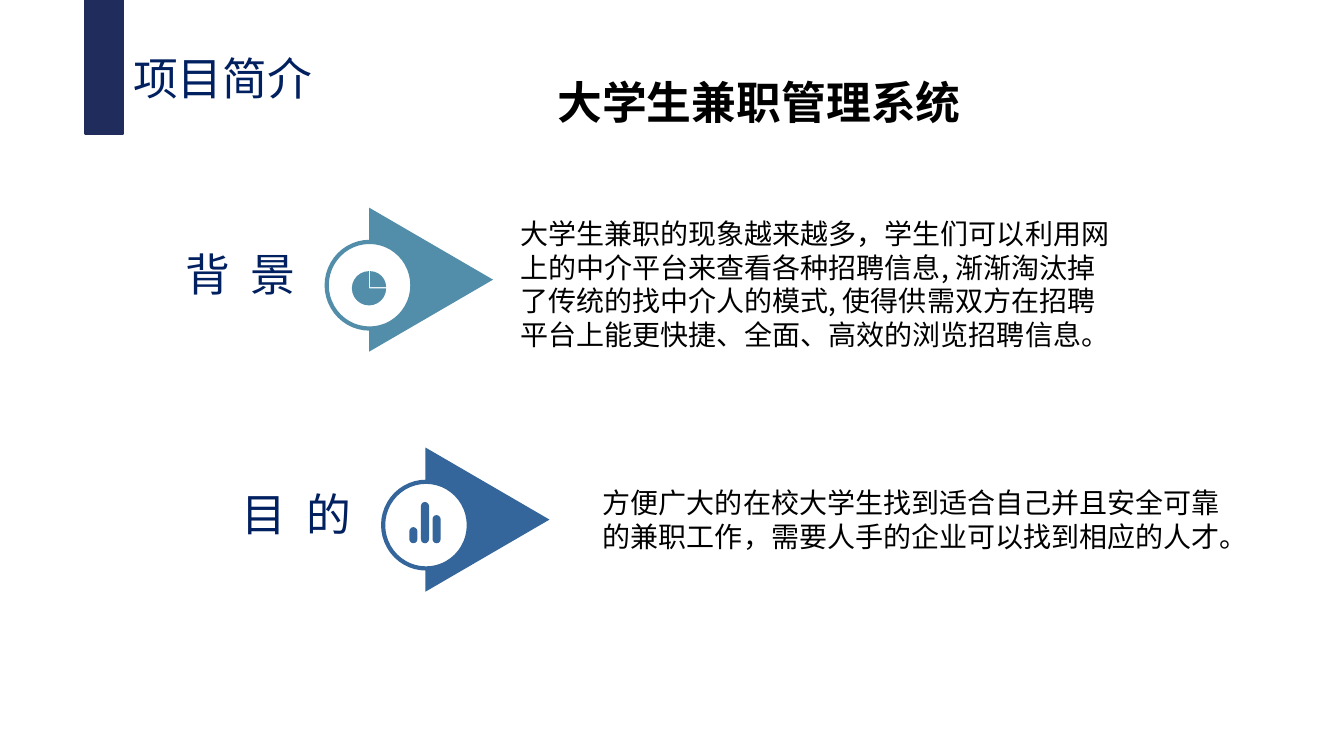
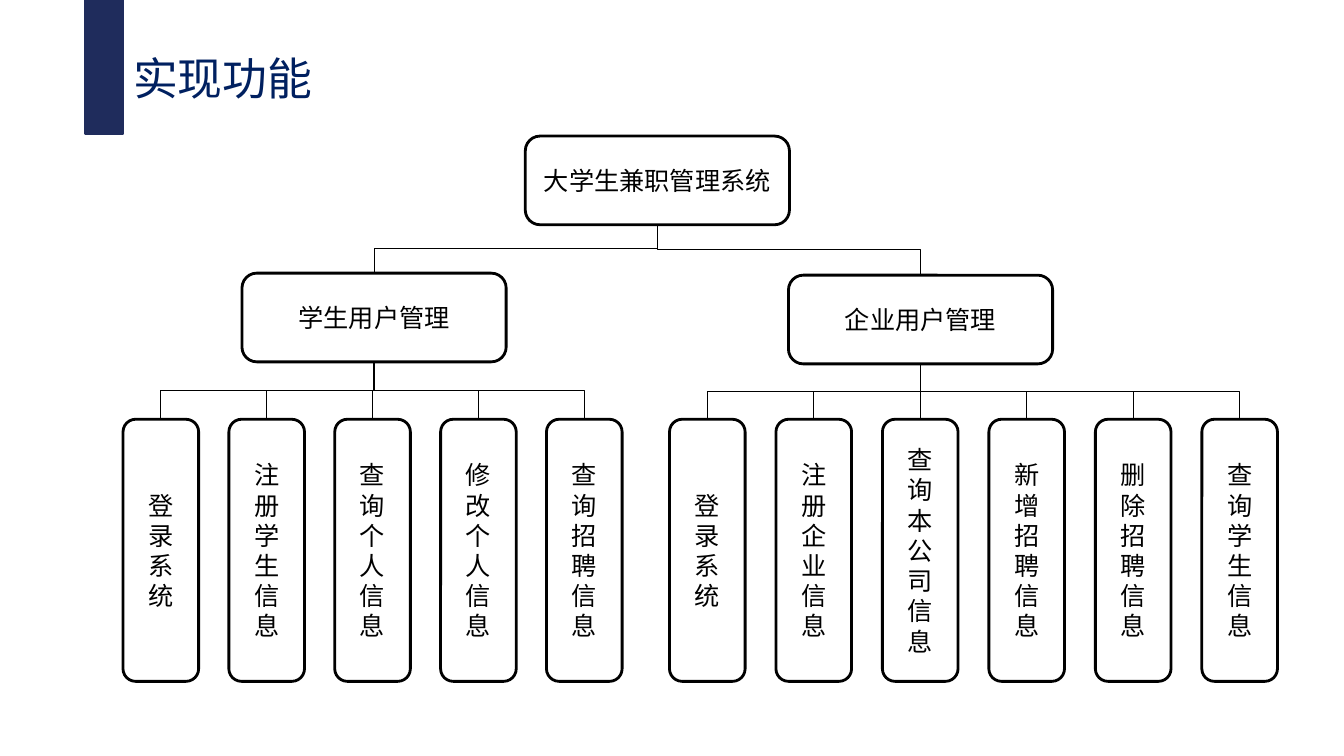
from lxml.etree import SubElement
from pptx import Presentation
from pptx.dml.color import RGBColor
from pptx.enum.shapes import MSO_CONNECTOR as Link, MSO_SHAPE as Shape
from pptx.enum.text import MSO_ANCHOR as Anchor, MSO_AUTO_SIZE as AutoSize, PP_ALIGN as Align
from pptx.oxml.ns import qn
from pptx.util import Inches, Pt

BAND_NAVY = RGBColor(0x1F, 0x2C, 0x5C)
TITLE_NAVY = RGBColor(0x00, 0x20, 0x60)
BLUE = RGBColor(0x35, 0x66, 0x9B)
TEAL = RGBColor(0x52, 0x8E, 0xA9)
BLACK = RGBColor(0x00, 0x00, 0x00)
WHITE = RGBColor(0xFF, 0xFF, 0xFF)

TITLE_FONT = "Arial Narrow"
BODY_FONT = "Noto Sans CJK SC"
LABEL_FONT = "Noto Sans CJK JP"
CHART_FONT = "Calibri"
LINE_RATIO = 1.2

SYSTEM_NAME = "大学生兼职管理系统"
NODE_SIZE = (2.62, 0.88)
LEAF_SIZE = (0.75, 2.6)
LEAF_TOP = 4.16


def write(frame, text, size, font, color, bold=False, align=Align.LEFT, anchor=Anchor.TOP, gap=0):
    frame.word_wrap = True
    frame.auto_size = AutoSize.NONE
    frame.vertical_anchor = anchor
    para = frame.paragraphs[0]
    para.alignment = align
    para.line_spacing = Pt(size * LINE_RATIO)
    span = para.add_run()
    span.text = text
    span.font.size = Pt(size)
    span.font.name = font
    span.font.bold = bold
    span.font.color.rgb = color
    properties = span.font._element
    properties.set("lang", "zh-CN")
    if gap:
        properties.set("spc", str(round(gap * 100)))
    SubElement(properties, qn("a:ea")).set("typeface", font)


def add_text(page, box, text, size, font, color, **style):
    text_box = page.shapes.add_textbox(*map(Inches, box))
    write(text_box.text_frame, text, size, font, color, **style)


def add_form(shapes, preset, box, fill, line=None, width=0, turn=0):
    form = shapes.add_shape(preset, *map(Inches, box))
    form.shadow.inherit = False
    form.rotation = turn
    form.fill.solid()
    form.fill.fore_color.rgb = fill
    if line is None:
        form.line.fill.background()
    else:
        form.line.color.rgb = line
        form.line.width = Pt(width)
    return form


def start_page(deck, title):
    page = deck.slides.add_slide(deck.slide_layouts[5])
    add_form(page.shapes, Shape.RECTANGLE, (0.85, 0, 0.37, 1.33), BAND_NAVY, BAND_NAVY, 2)
    holder = page.shapes.title
    holder.left, holder.top, holder.width, holder.height = map(Inches, (1.22, 0.45, 6.11, 0.64))
    write(holder.text_frame, title, 32, TITLE_FONT, TITLE_NAVY)
    return page


def draw_pie(shapes, left, top, color):
    add_form(shapes, Shape.PIE, (left - 0.17, top + 0.63, 0.34, 0.34), color)
    add_form(shapes, Shape.PIE_WEDGE, (left + 0.01, top + 0.63, 0.16, 0.16), color, turn=90)


def draw_bars(shapes, left, top, color):
    for index, height in enumerate((0.16, 0.41, 0.28)):
        box = (left - 0.16 + index * 0.115, top + 0.95 - height, 0.08, height)
        bar = add_form(shapes, Shape.ROUNDED_RECTANGLE, box, color)
        bar.adjustments[0] = 0.5


def add_badge(page, left, top, color, draw_icon):
    shapes = page.shapes.add_group_shape().shapes
    add_form(shapes, Shape.ISOSCELES_TRIANGLE, (left - 0.1, top + 0.1, 1.43, 1.23), color, turn=90)
    add_form(shapes, Shape.OVAL, (left - 0.42, top + 0.34, 0.85, 0.86), WHITE, color, 3)
    draw_icon(shapes, left, top, color)


def add_topic(page, left, top, label, color, draw_icon, body, body_box):
    add_badge(page, left, top, color, draw_icon)
    label_box = (left - 1.92, top + 0.34, 1.5, 0.64)
    add_text(page, label_box, label, 32, LABEL_FONT, TITLE_NAVY, gap=3.6)
    add_text(page, body_box, body, 20, BODY_FONT, BLACK)


def add_node(page, left, top, size, text):
    node = add_form(page.shapes, Shape.ROUNDED_RECTANGLE, (left, top, *size), WHITE, BLACK, 2)
    write(node.text_frame, text, 18, CHART_FONT, BLACK, align=Align.CENTER, anchor=Anchor.MIDDLE)
    return node


def join(page, parent, child):
    start_x = parent.left + parent.width // 2
    start_y = parent.top + parent.height
    end_x = child.left + child.width // 2
    drop, reach = child.top - start_y, abs(end_x - start_x)
    link = page.shapes.add_connector(Link.ELBOW, start_x, start_y, end_x, child.top)
    link.begin_connect(parent, 2)
    link.end_connect(child, 0)
    link.left = (start_x + end_x - drop) // 2
    link.top = (start_y + child.top - reach) // 2
    link.width, link.height = drop, reach
    frame = link._element.spPr.find(qn("a:xfrm"))
    to_right = end_x > start_x
    frame.set("rot", "16200000" if to_right else "5400000")
    frame.set("flipH", "1" if to_right else "0")
    link.line.color.rgb = BLACK
    link.line.width = Pt(0.75)
    SubElement(link._element.spPr, qn("a:effectLst"))


def add_branch(page, root, left, top, text, first, last, leaves):
    branch = add_node(page, left, top, NODE_SIZE, text)
    join(page, root, branch)
    pitch = (last - first) / (len(leaves) - 1)
    for index, name in enumerate(leaves):
        leaf = add_node(page, first + index * pitch, LEAF_TOP, LEAF_SIZE, name)
        join(page, branch, leaf)


def build_intro(deck):
    page = start_page(deck, "项目简介")
    add_text(page, (5.43, 0.69, 5.06, 0.64), SYSTEM_NAME, 32, BODY_FONT, BLACK, bold=True)
    add_topic(
        page, 3.66, 2.06, "背 景", TEAL, draw_pie,
        "大学生兼职的现象越来越多，学生们可以利用网上的中介平台来查看各种招聘信息, "
        "渐渐淘汰掉了传统的找中介人的模式, 使得供需双方在招聘平台上能更快捷、全面、高效的浏览招聘信息。",
        (5.06, 2.1, 6.11, 1.45),
    )
    add_topic(
        page, 4.22, 4.44, "目 的", BLUE, draw_bars,
        "方便广大的在校大学生找到适合自己并且安全可靠的兼职工作，需要人手的企业可以找到相应的人才。",
        (5.88, 4.77, 6.35, 0.77),
    )


def build_functions(deck):
    page = start_page(deck, "实现功能")
    root = add_node(page, 5.21, 1.35, NODE_SIZE, SYSTEM_NAME)
    add_branch(
        page, root, 2.4, 2.71, "学生用户管理", 1.22, 5.42,
        ("登录系统", "注册学生信息", "查询个人信息", "修改个人信息", "查询招聘信息"),
    )
    add_branch(
        page, root, 7.82, 2.73, "企业用户管理", 6.64, 11.92,
        ("登录系统", "注册企业信息", "查询本公司信息", "新增招聘信息", "删除招聘信息", "查询学生信息"),
    )


def main():
    deck = Presentation()
    deck.slide_width = Inches(13.33)
    deck.slide_height = Inches(7.5)
    build_intro(deck)
    build_functions(deck)
    deck.save("out.pptx")


if __name__ == "__main__":
    main()
